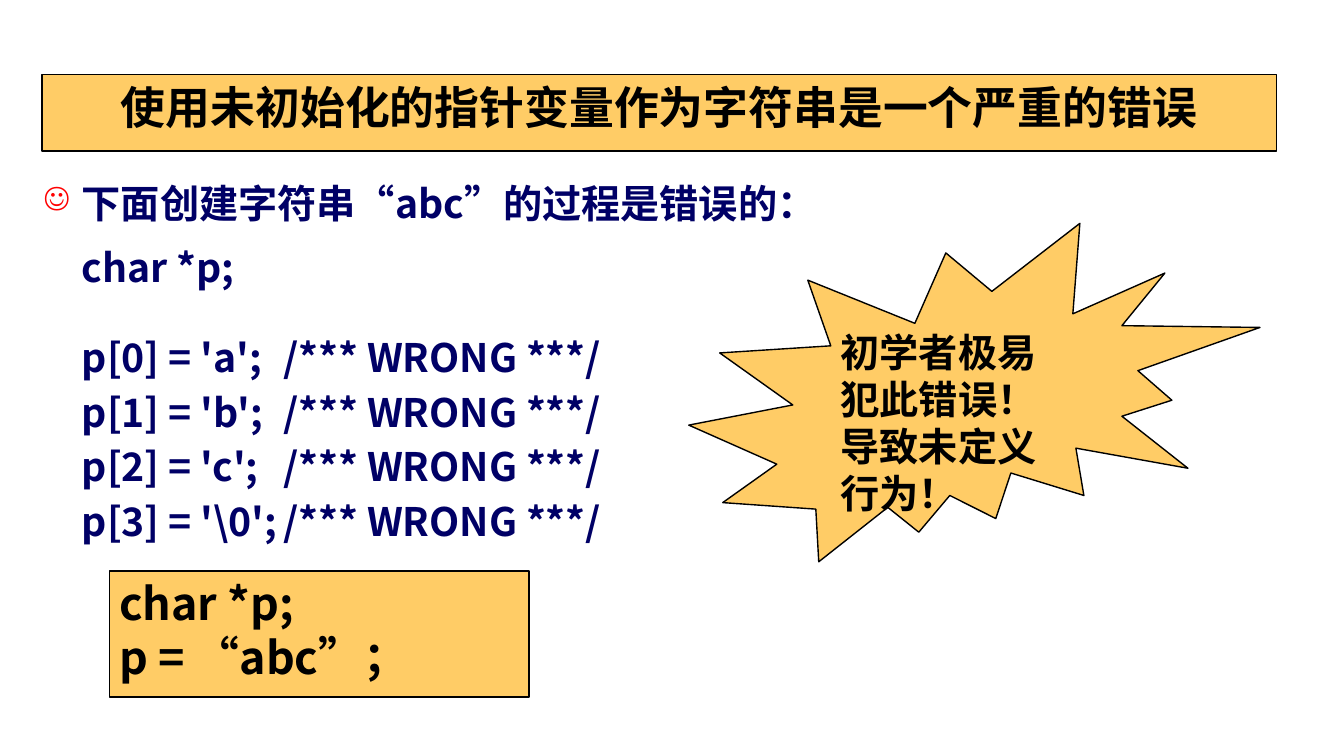
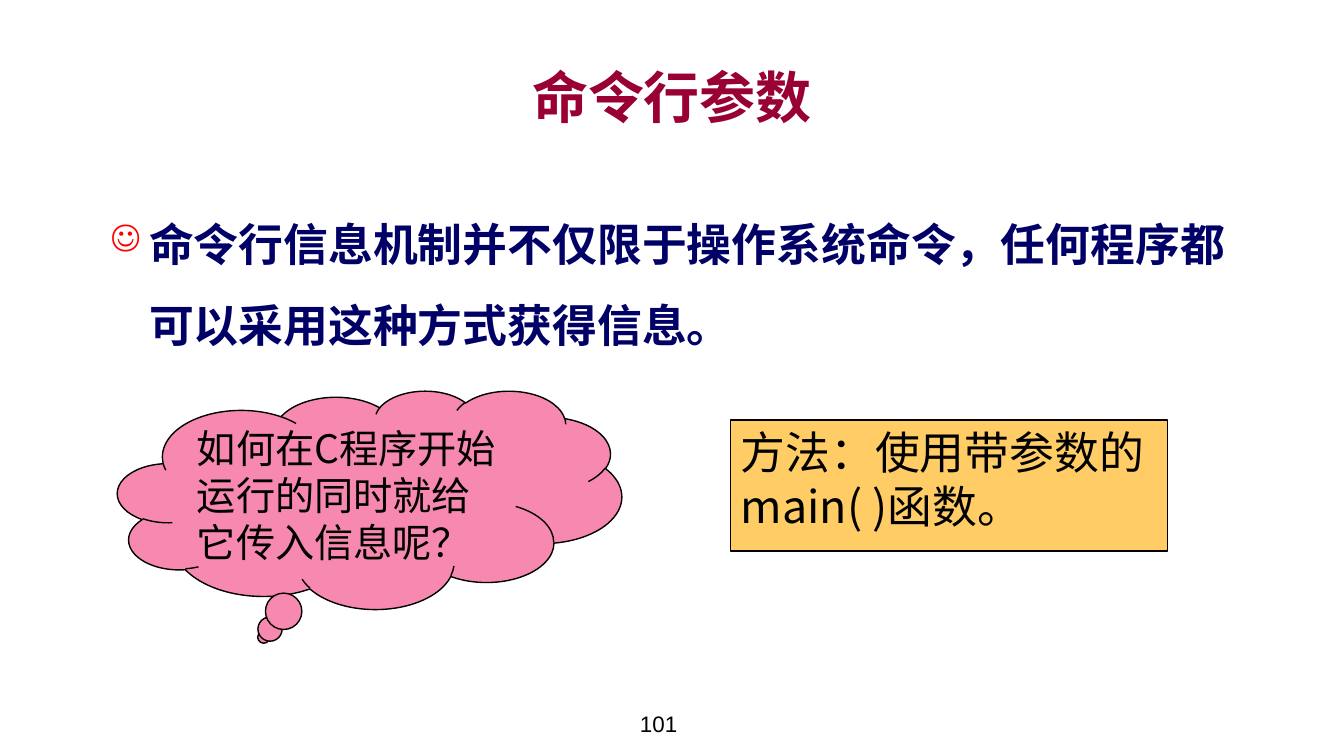
from pptx import Presentation
from pptx.dml.color import RGBColor as Rgb
from pptx.enum.shapes import MSO_SHAPE as Shape
from pptx.enum.text import MSO_ANCHOR as Anchor, PP_ALIGN as Align
from pptx.oxml.ns import qn
from pptx.util import Inches, Pt
from lxml.etree import SubElement

COLORS = {
    "ink": "000000", "navy": "000066", "wine": "990033",
    "amber": "FFCC66", "pink": "F789B0", "red": "FF0000",
}
COLUMNS = 160  # square cells, twelve to the inch
CELL = Inches(13.33) / COLUMNS
SANS = "Noto Sans CJK SC"
HANGING = Inches(0.38)

# Body paragraph formats
LEAD = {"line_spacing": 1.5, "space_before": Pt(6), "space_after": Pt(6)}
CODE = {**LEAD, "line_spacing": 0.8}


def color(name):
    return Rgb.from_string(COLORS[name])


def set_all(target, values):
    for name, value in values.items():
        setattr(target, name, value)


class Deck:
    """Holds the shared style and the slide being filled."""

    def __init__(self):
        self.file = Presentation()
        self.file.slide_width = Inches(13.33)
        self.file.slide_height = Inches(7.5)
        self.page = None

    def new_page(self):
        self.page = self.file.slides.add_slide(self.file.slide_layouts[6])

    def place(self, *cells):
        return [round(cell * CELL) for cell in cells]

    def frame(self, box, anchor=Anchor.TOP):
        frame = box.text_frame
        set_all(frame, {"word_wrap": True, "vertical_anchor": anchor})
        return frame

    def fill_text(self, frame, lines, size, ink="ink", bold=True, font=SANS,
                  align=Align.LEFT, formats=None):
        """Add one paragraph per line, each with its own format if given."""
        paras = []
        for index, line in enumerate(lines):
            para = frame.add_paragraph() if index else frame.paragraphs[0]
            set_all(para, {"alignment": align, **(formats[index] if formats else {})})
            span = para.add_run()
            span.text = line
            set_all(span.font, {"size": Pt(size), "bold": bold, "name": font})
            span.font.color.rgb = color(ink)
            props = span.font._element
            props.set("lang", "zh-CN")
            SubElement(props, qn("a:ea"), typeface=font)
            paras.append(para)
        return paras

    def text(self, cells, lines, size, anchor=Anchor.TOP, **style):
        box = self.page.shapes.add_textbox(*self.place(*cells))
        return self.fill_text(self.frame(box, anchor), lines, size, **style)

    def title(self, cells, line):
        self.text(cells, [line], 40, Anchor.MIDDLE, ink="wine", align=Align.CENTER)

    def body(self, cells, lines, size, formats, tab=None):
        """A smiley-bulleted lead, then lines indented to match it."""
        paras = self.text(cells, lines, size, ink="navy", formats=formats)
        for index, para in enumerate(paras):
            props = para._p.get_or_add_pPr()
            props.set("marL", str(HANGING))
            props.set("indent", str(0 if index else -HANGING))
            if index == 0:
                bullet = SubElement(props, qn("a:buClr"))
                SubElement(bullet, qn("a:srgbClr"), val=COLORS["red"])
                SubElement(props, qn("a:buSzPct"), val="80000")
                SubElement(props, qn("a:buChar"), char="☺")
            elif tab:
                stops = SubElement(props, qn("a:tabLst"))
                SubElement(stops, qn("a:tab"), pos=str(Inches(tab)), algn="l")

    def panel(self, kind, cells, lines, size, fill="amber", anchor=Anchor.TOP,
              adjust=(), **style):
        """An outlined, filled shape with text."""
        box = self.page.shapes.add_shape(kind, *self.place(*cells))
        box.shadow.inherit = False
        box.fill.solid()
        box.fill.fore_color.rgb = color(fill)
        box.line.color.rgb = color("ink")
        box.line.width = Pt(1)
        for index, value in enumerate(adjust):
            box.adjustments[index] = value
        self.fill_text(self.frame(box, anchor), lines, size, **style)

    def number(self, value):
        self.text((75, 84, 9, 4), [value], 16, bold=False, font="Arial")


def pointer_page(deck):
    deck.new_page()
    # Faulty code, with the assignments set apart from the declaration
    values = ["a", "b", "c", "\\0"]
    faults = [f"p[{i}] = '{value}';\t/*** WRONG ***/" for i, value in enumerate(values)]
    formats = [LEAD, {**CODE, "space_before": Pt(12)},
               {**CODE, "space_before": Pt(32)}] + [CODE] * 3
    deck.body((4, 18, 152, 52),
              ["下面创建字符串“abc”的过程是错误的：", "char *p;", *faults],
              28, formats, tab=2.53)
    # Warning, heading and correct code
    deck.panel(Shape.EXPLOSION2, (82, 26.6, 68, 40.3),
               ["初学者极易犯此错误！", "导致未定义行为！"], 28)
    deck.panel(Shape.RECTANGLE, (5, 8.9, 147, 9.1),
               ["使用未初始化的指针变量作为字符串是一个严重的错误"], 32, align=Align.CENTER)
    deck.panel(Shape.RECTANGLE, (13, 68, 50, 15), ["char *p;", "p = “abc”；"], 32)


def arguments_page(deck):
    deck.new_page()
    deck.title((12, 7, 136, 9), "命令行参数")
    deck.body((12, 22, 136, 63),
              ["命令行信息机制并不仅限于操作系统命令，任何程序都可以采用这种方式获得信息。"],
              32, [LEAD])
    deck.number("101")
    # Question and answer
    deck.panel(Shape.CLOUD_CALLOUT, (14, 46.5, 60, 26),
               ["如何在C程序开始运行的同时就给它传入信息呢？"], 28, fill="pink",
               anchor=Anchor.MIDDLE, adjust=(-0.21, 0.63), bold=False)
    deck.panel(Shape.FLOWCHART_PROCESS, (87, 50, 52, 15.6),
               ["方法：使用带参数的main( )函数。"], 32, bold=False)


def main():
    deck = Deck()
    pointer_page(deck)
    arguments_page(deck)
    deck.file.save("out.pptx")


if __name__ == "__main__":
    main()
